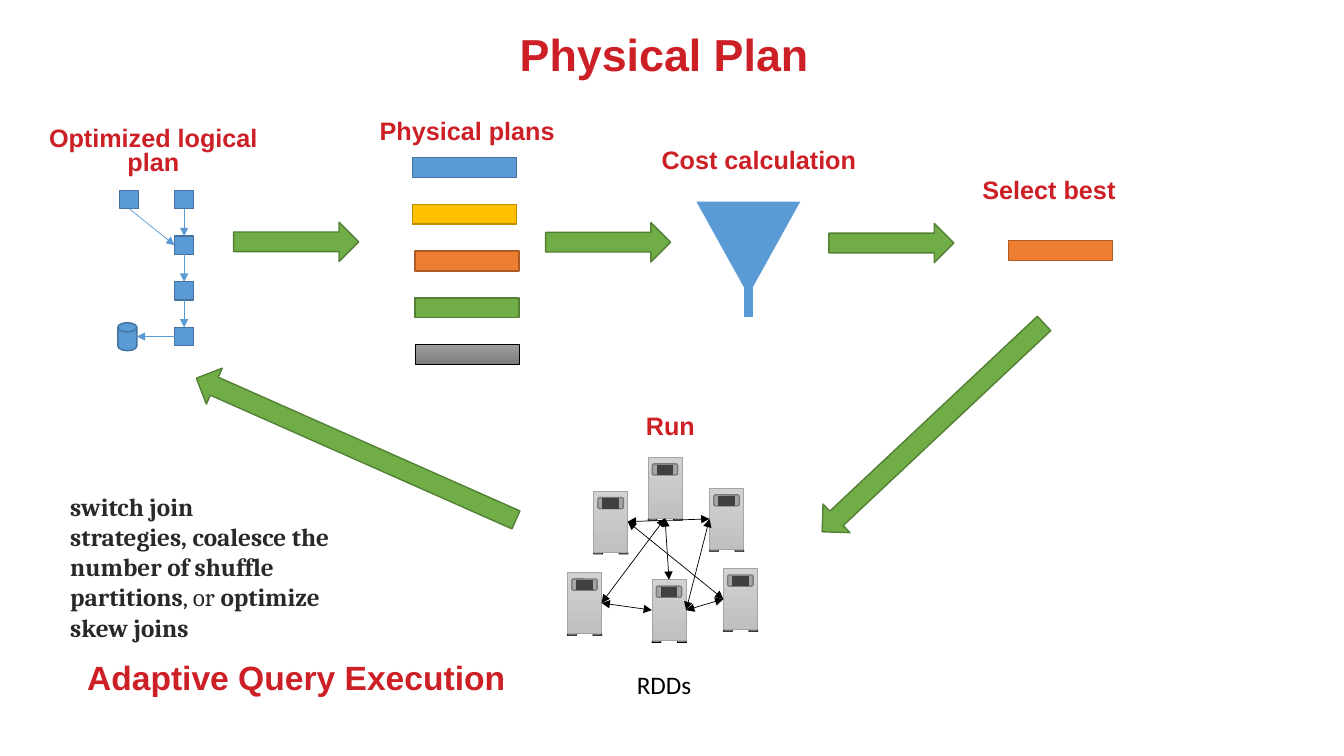
from pptx import Presentation
from pptx.dml.color import RGBColor
from pptx.enum.shapes import MSO_CONNECTOR, MSO_SHAPE
from pptx.enum.text import MSO_ANCHOR, PP_ALIGN
from pptx.oxml import parse_xml
from pptx.oxml.ns import nsdecls
from pptx.util import Cm, Pt

RECT, ARROW = MSO_SHAPE.RECTANGLE, MSO_SHAPE.RIGHT_ARROW
DISK, FUNNEL = MSO_SHAPE.FLOWCHART_MAGNETIC_DISK, MSO_SHAPE.FLOWCHART_MERGE
FOOT, SCREEN = MSO_SHAPE.TRAPEZOID, MSO_SHAPE.ROUNDED_RECTANGLE
STRAIGHT = MSO_CONNECTOR.STRAIGHT
CENTER, LEFT_ALIGN = PP_ALIGN.CENTER, PP_ALIGN.LEFT
ANCHOR_TOP, ANCHOR_BOTTOM = MSO_ANCHOR.TOP, MSO_ANCHOR.BOTTOM
TOP, LEFT, BOTTOM, RIGHT = range(4)  # connection sites of a rectangle
NBSP = chr(160)  # no-break space

RED = RGBColor(0xCD, 0x1F, 0x26)
BLACK = RGBColor(0x00, 0x00, 0x00)
INK = RGBColor(0x29, 0x29, 0x29)
BLUE, BLUE_EDGE = RGBColor(0x5B, 0x9B, 0xD5), RGBColor(0x43, 0x73, 0x9E)
GOLD, GOLD_EDGE = RGBColor(0xFF, 0xC0, 0x00), RGBColor(0xBD, 0x8E, 0x00)
ORANGE, ORANGE_EDGE = RGBColor(0xED, 0x7D, 0x31), RGBColor(0xAF, 0x5C, 0x24)
GREEN, GREEN_EDGE = RGBColor(0x70, 0xAD, 0x47), RGBColor(0x53, 0x80, 0x35)
GRAY, GRAY_EDGE = RGBColor(0xA5, 0xA5, 0xA5), RGBColor(0x7A, 0x7A, 0x7A)
SLOT = RGBColor(0x40, 0x40, 0x40)
DARK_SHADE = (RGBColor(0x9D, 0x9D, 0x9D), RGBColor(0x7C, 0x7C, 0x7C))
LIGHT_SHADE = (RGBColor(0xD2, 0xD2, 0xD2), RGBColor(0xC0, 0xC0, 0xC0))

BAR_W, BAR_H = 2.62, 0.5
LABEL_W, LABEL_H = 6.25, 1.17


def add_shape(s, kind, x, y, w, h, fill, edge=None, weight=1, rotation=0):
    """Add a shape; a pair of fill colours gives a vertical gradient."""
    sp = s.shapes.add_shape(kind, Cm(x), Cm(y), Cm(w), Cm(h))
    sp.shadow.inherit = False
    sp.rotation = rotation
    if isinstance(fill, RGBColor):
        sp.fill.solid()
        sp.fill.fore_color.rgb = fill
    else:
        sp.fill.gradient()
        sp.fill.gradient_angle = 270
        for stop, color in zip(sp.fill.gradient_stops, fill):
            stop.color.rgb = color
    if edge is None:
        sp.line.fill.background()
    else:
        sp.line.color.rgb = edge
        sp.line.width = Pt(weight)
    return sp


def add_line(s, x1, y1, x2, y2, color, weight, heads=()):
    c = s.shapes.add_connector(STRAIGHT, Cm(x1), Cm(y1), Cm(x2), Cm(y2))
    c.line.color.rgb = color
    c.line.width = Pt(weight)
    ln = c.line._ln
    for head in heads:
        ln.append(parse_xml(f'<a:{head} {nsdecls("a")} type="triangle"/>'))
    c._element.spPr.append(parse_xml(f'<a:effectLst {nsdecls("a")}/>'))
    return c


def join(s, start, start_site, end, end_site, color, heads):
    c = add_line(s, 0, 0, 1, 1, color, 0.5, heads)
    c.begin_connect(start, start_site)
    c.end_connect(end, end_site)


def write(tf, runs, align=CENTER, anchor=ANCHOR_BOTTOM, spacing=0.9, **font):
    """Fill a frame with (text, bold) runs sharing one font."""
    tf.word_wrap = True
    tf.vertical_anchor = anchor
    p = tf.paragraphs[0]
    p.alignment, p.line_spacing = align, spacing
    color = font.pop("color", RED)
    for text, bold in runs:
        r = p.add_run()
        r.text = text
        for key, value in {"name": "Arial", "size": Pt(18), "bold": bold, **font}.items():
            setattr(r.font, key, value)
        r.font.color.rgb = color


def add_text(s, x, y, w, h, runs, **style):
    tb = s.shapes.add_textbox(Cm(x), Cm(y), Cm(w), Cm(h))
    write(tb.text_frame, runs, **style)


def title(s, x, y, w, h):
    sp = s.shapes.title
    for key, value in {"left": x, "top": y, "width": w, "height": h}.items():
        setattr(sp, key, Cm(value))
    write(sp.text_frame, [("Physical Plan", True)], size=Pt(32))


def logical_plan(s, x, y):
    """Operator tree under its label."""
    size, pitch = (0.48, 0.46), 1.15
    branch = add_shape(s, RECT, x + 2.28, y + 1.72, *size, BLUE, BLUE_EDGE)
    chain = [add_shape(s, RECT, x + 3.66, y + 1.72 + i * pitch, *size, BLUE, BLUE_EDGE)
             for i in range(4)]
    add_shape(s, DISK, x + 2.23, y + 5.05, 0.48, 0.71, BLUE, BLUE_EDGE)
    join(s, branch, BOTTOM, chain[1], LEFT, BLUE, ["tailEnd"])
    for upper, lower in zip(chain, chain[1:]):
        join(s, upper, BOTTOM, lower, TOP, BLUE, ["tailEnd"])
    to_disk = add_line(s, x + 3.66, y + 5.4, x + 2.71, y + 5.4, BLUE, 0.5, ["tailEnd"])
    to_disk.begin_connect(chain[-1], LEFT)
    add_text(s, x, y, LABEL_W, 1.5, [("Optimized logical plan", True)], spacing=0.8)


def physical_plans(s, x, y):
    """Column of candidate plans."""
    bars = [(1.75, BLUE, BLUE_EDGE, 1), (1.75, GOLD, GOLD_EDGE, 1),
            (1.81, ORANGE, ORANGE_EDGE, 1), (1.81, GREEN, GREEN_EDGE, 1),
            (1.81, DARK_SHADE, BLACK, 0.5)]
    for i, (dx, *look) in enumerate(bars):
        add_shape(s, RECT, x + dx, y + 1.33 + i * 1.18, BAR_W, BAR_H, *look)
    add_text(s, x, y, LABEL_W, LABEL_H, [("Physical plans", True)])


def cost_calculation(s, x, y):
    """Funnel with a thick stem."""
    add_shape(s, FUNNEL, x + 1.55, y + 1.71, BAR_W, 2.36, BLUE)
    add_line(s, x + 2.86, y + 3.49, x + 2.86, y + 4.61, BLUE, 6)
    add_text(s, x, y, LABEL_W, LABEL_H, [("Cost calculation", True)])


def select_best(s, x, y):
    add_shape(s, RECT, x + 2.11, y + 1.94, BAR_W, BAR_H, ORANGE, ORANGE_EDGE)
    add_text(s, x, y, LABEL_W, LABEL_H, [("Select best", True)])


def server(s, x, y):
    """Cabinet on two feet; returns the cabinet body."""
    for dx in (0, 0.64):
        add_shape(s, FOOT, x + dx, y + 1.48, 0.23, 0.1, DARK_SHADE, BLACK, 0.5)
    body = add_shape(s, RECT, x, y, 0.86, 1.53, LIGHT_SHADE, GRAY, 0.5)
    add_shape(s, SCREEN, x + 0.11, y + 0.16, 0.64, 0.28, GRAY, GRAY_EDGE)
    for i in range(3):
        slot_y = y + 0.23 + i * 0.08
        add_line(s, x + 0.22, slot_y, x + 0.64, slot_y, SLOT, 3)
    return body


def cluster(s, x, y):
    """Servers that exchange data while the plan runs."""
    spots = {"top": (2.56, 1.47), "low right": (4.46, 4.27), "low left": (0.53, 4.37),
             "low mid": (2.66, 4.55), "right": (4.11, 2.25), "left": (1.19, 2.32)}
    servers = {name: server(s, x + dx, y + dy) for name, (dx, dy) in spots.items()}
    links = [("top", BOTTOM, "low mid", TOP), ("left", RIGHT, "right", LEFT),
             ("low right", LEFT, "low mid", RIGHT), ("low left", RIGHT, "low mid", LEFT),
             ("left", RIGHT, "low right", LEFT), ("right", LEFT, "low mid", RIGHT),
             ("top", BOTTOM, "low left", RIGHT)]
    for start, start_site, end, end_site in links:
        join(s, servers[start], start_site, servers[end], end_site, BLACK,
             ["headEnd", "tailEnd"])
    add_text(s, x, y, LABEL_W, LABEL_H, [("Run", True)])
    add_text(s, x + 1.82, y + 6.68, 2.29, 1.02, [("RDDs", False)],
             anchor=ANCHOR_TOP, spacing=1, name="Calibri", color=BLACK)


def adaptive_execution(s, x, y):
    """Explanation and its heading below."""
    runs = [(f"switch join strategies,{NBSP}coalesce the number of shuffle partitions", True),
            (f", or{NBSP}", False), ("optimize skew joins", True)]
    add_text(s, x + 0.81, y, 8.15, 3.33, runs, align=LEFT_ALIGN, anchor=ANCHOR_TOP,
             spacing=1, name="Cambria", color=INK)
    add_text(s, x, y + 4.14, 13.51, 1.32, [("Adaptive Query Execution", True)], size=Pt(24))


def flow_arrows(s):
    """Block arrows between the stages: left, top, length, rotation."""
    for x, y, length, rotation in [(5.89, 5.6, 3.15, 0), (13.75, 5.61, 3.15, 0),
                                   (20.89, 5.63, 3.15, 0), (19.68, 10.28, 7.67, 136.8),
                                   (4.57, 10.82, 8.81, 203.9)]:
        add_shape(s, ARROW, x, y, length, 0.99, GREEN, GREEN_EDGE, rotation=rotation)


def main():
    prs = Presentation()
    prs.slide_width, prs.slide_height = Cm(33.87), Cm(19.05)
    s = prs.slides.add_slide(prs.slide_layouts[5])
    title(s, 4.04, 0.3, 25.4, 1.88)
    logical_plan(s, 0.74, 3.08)
    physical_plans(s, 8.65, 2.64)
    cost_calculation(s, 16, 3.37)
    select_best(s, 23.31, 4.12)
    cluster(s, 13.77, 10.06)
    adaptive_execution(s, 0.71, 12.25)
    flow_arrows(s)
    prs.save("out.pptx")


if __name__ == "__main__":
    main()
